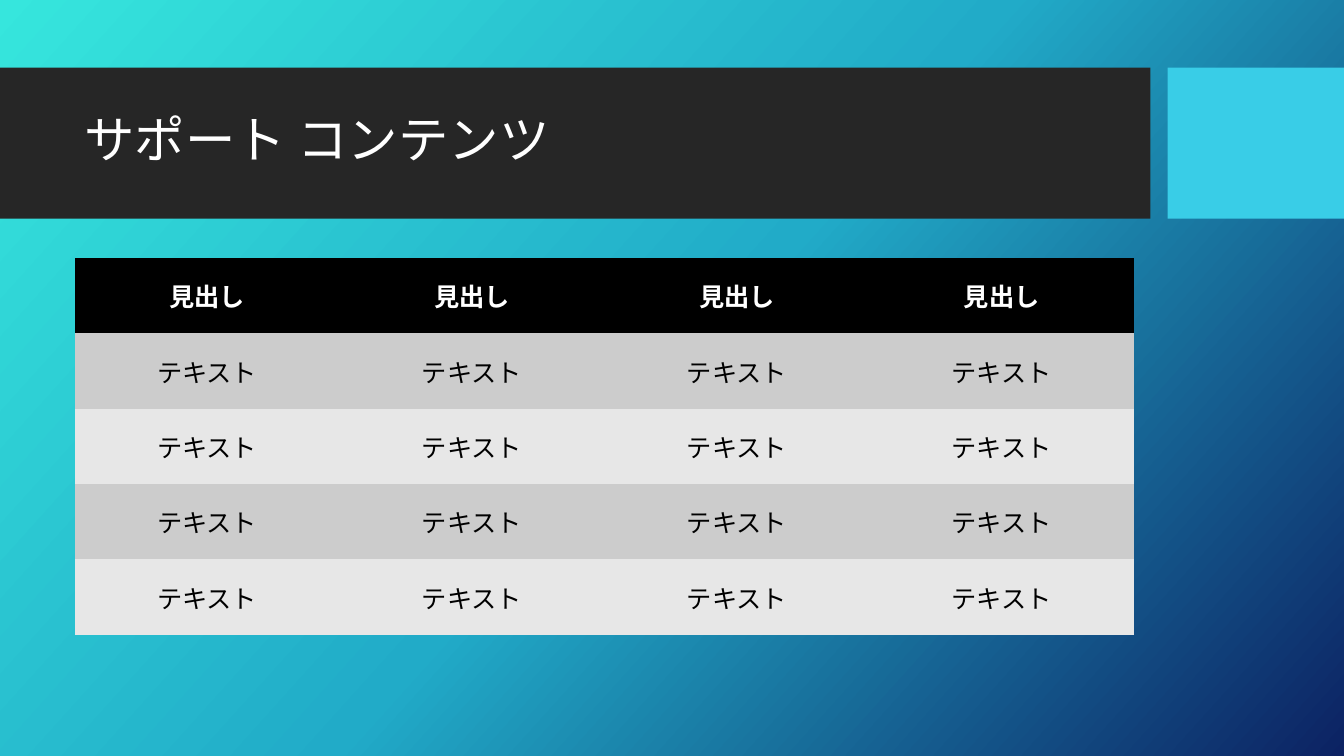
from copy import deepcopy
from dataclasses import dataclass

from lxml import etree
from pptx import Presentation
from pptx import util as u
from pptx.dml.color import RGBColor
from pptx.enum import shapes, text
from pptx.oxml.ns import qn
from pptx.slide import Slide


@dataclass(frozen=True)
class Theme:
    """Colours, font and type sizes of the slide."""
    font: str = "Noto Sans CJK JP"
    title_size: int = 36
    table_size: int = 18
    white: str = "FFFFFF"
    black: str = "000000"
    band: str = "262626"
    accent: str = "39CDE7"
    stripes: tuple[str, str] = ("CCCCCC", "E7E7E7")
    gradient: tuple[str, str, str] = ("36E6DD", "21ABC8", "0C2263")
    gradient_angle: int = 42


@dataclass(frozen=True)
class Box:
    """A rectangle in inches."""
    left: float
    top: float
    width: float
    height: float

    def lengths(self) -> tuple[u.Length, ...]:
        """Return left, top, width and height as lengths."""
        return tuple(map(u.Inches, (self.left, self.top, self.width, self.height)))


@dataclass(frozen=True)
class Block:
    """A plain filled rectangle."""
    box: Box
    color: str


THEME = Theme()
NO_TABLE_STYLE = "{2D5ABB26-0587-4C30-8999-92F81FD0307C}"
HEADER_BLOCKS = (
    Block(Box(0, 0.67, 11.41, 1.5), THEME.band),
    Block(Box(11.58, 0.67, 1.75, 1.5), THEME.accent),
)
TITLE_BOX = Box(0.74, 0.82, 10.51, 1.18)
TABLE_BOX = Box(0.74, 2.56, 10.51, 3.74)
COLUMN_COUNT = 4
TABLE_ROWS = [["見出し"] * COLUMN_COUNT] + [["テキスト"] * COLUMN_COUNT] * 4


def paint_background(slide: Slide) -> None:
    """Fill the background with evenly spaced gradient stops."""
    fill = slide.background.fill
    fill.gradient()
    fill.gradient_angle = 360 - THEME.gradient_angle
    stop_list = next(slide.element.iter(qn("a:gsLst")))
    stop_list.insert(1, deepcopy(stop_list[0]))
    last = len(THEME.gradient) - 1
    for index, (stop, color) in enumerate(zip(fill.gradient_stops, THEME.gradient)):
        stop.position = index / last
        stop.color.rgb = RGBColor.from_string(color)


def add_block(slide: Slide, block: Block) -> None:
    """Draw one filled rectangle without outline."""
    shape = slide.shapes.add_shape(shapes.MSO_SHAPE.RECTANGLE, *block.box.lengths())
    shape.shadow.inherit = False
    shape.fill.solid()
    shape.fill.fore_color.rgb = RGBColor.from_string(block.color)
    shape.line.fill.background()


def write_text(paragraph, wording: str, color: str, **font_values) -> None:
    """Add a run in the theme font with the given format values."""
    run = paragraph.add_run()
    run.text = wording
    for name, value in {"name": THEME.font, **font_values}.items():
        setattr(run.font, name, value)
    run.font.color.rgb = RGBColor.from_string(color)
    properties = run.font._element
    etree.SubElement(properties, qn("a:ea"), typeface=THEME.font)


def add_title(slide: Slide, wording: str) -> None:
    """Place the slide title over the dark band."""
    frame = slide.shapes.add_textbox(*TITLE_BOX.lengths()).text_frame
    frame.word_wrap = True
    frame.vertical_anchor = text.MSO_ANCHOR.MIDDLE
    paragraph = frame.paragraphs[0]
    paragraph.line_spacing = 0.9
    write_text(paragraph, wording, THEME.white, size=u.Pt(THEME.title_size))


def add_table(slide: Slide, rows: list[list[str]]) -> None:
    """Draw the table with a black heading row and striped body rows."""
    frame = slide.shapes.add_table(len(rows), COLUMN_COUNT, *TABLE_BOX.lengths())
    table = frame.table
    next(frame.element.iter(qn("a:tableStyleId"))).text = NO_TABLE_STYLE
    for row_index, row in enumerate(rows):
        heading = row_index == 0
        fill_color = THEME.black if heading else THEME.stripes[(row_index - 1) % 2]
        text_color = THEME.white if heading else THEME.black
        for column_index, wording in enumerate(row):
            cell = table.cell(row_index, column_index)
            cell.fill.solid()
            cell.fill.fore_color.rgb = RGBColor.from_string(fill_color)
            cell.vertical_anchor = text.MSO_ANCHOR.MIDDLE
            paragraph = cell.text_frame.paragraphs[0]
            paragraph.alignment = text.PP_ALIGN.CENTER
            write_text(paragraph, wording, text_color,
                       size=u.Pt(THEME.table_size), bold=heading)


def main() -> None:
    """Build and save the slide."""
    presentation = Presentation()
    presentation.slide_width = u.Inches(13.33)
    presentation.slide_height = u.Inches(7.5)
    slide = presentation.slides.add_slide(presentation.slide_layouts[6])
    paint_background(slide)
    for block in HEADER_BLOCKS:
        add_block(slide, block)
    add_title(slide, "サポート コンテンツ")
    add_table(slide, TABLE_ROWS)
    presentation.save("out.pptx")


main()
